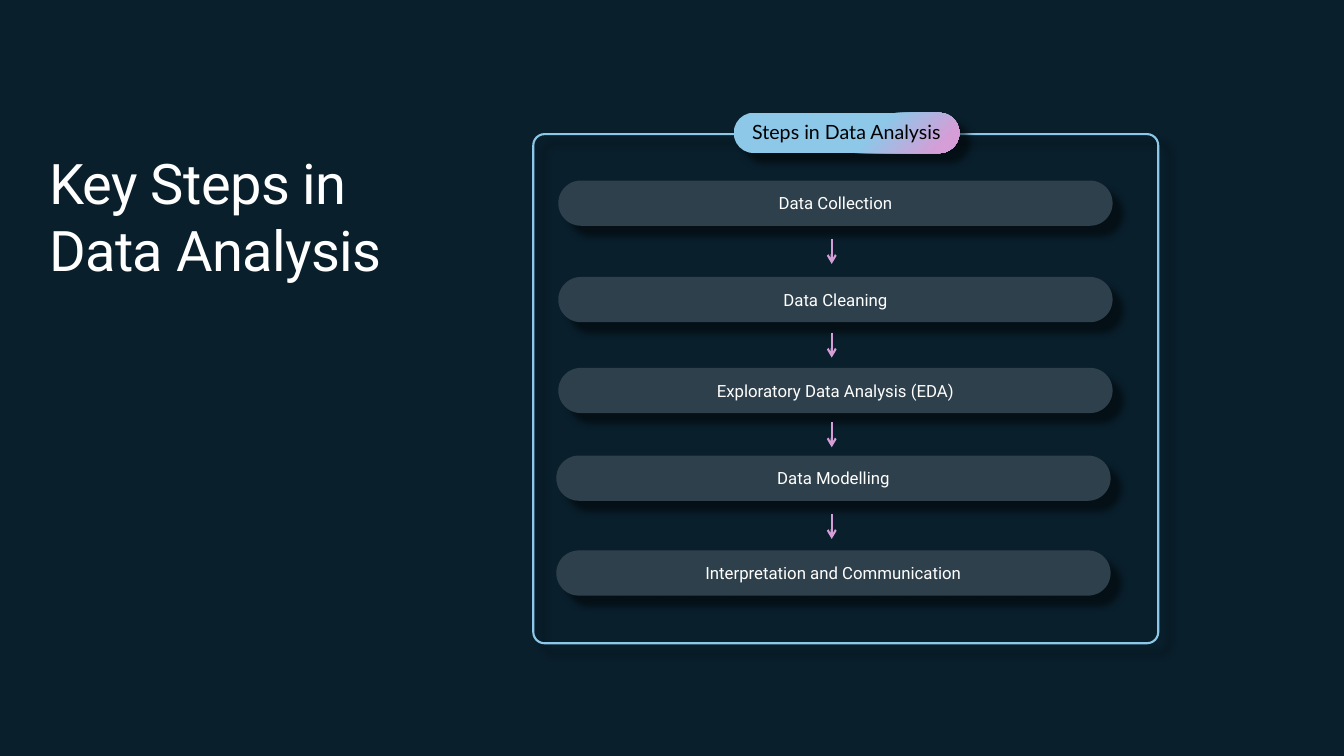
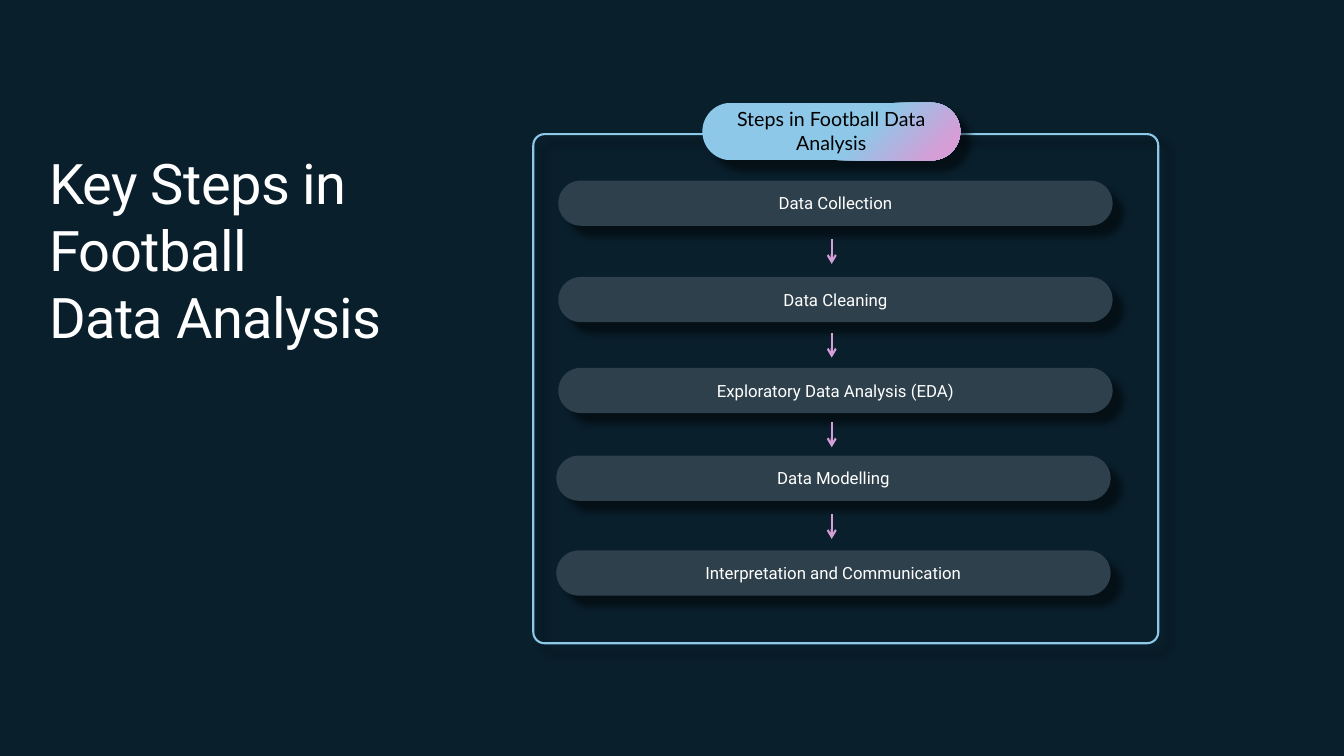
from dataclasses import dataclass

from lxml import etree
from pptx import Presentation
from pptx.dml.color import RGBColor
from pptx.enum.shapes import MSO_CONNECTOR, MSO_SHAPE
from pptx.enum.text import MSO_ANCHOR, PP_ALIGN
from pptx.oxml.ns import qn
from pptx.util import Cm, Pt

ROUNDED = MSO_SHAPE.ROUNDED_RECTANGLE
STRAIGHT = MSO_CONNECTOR.STRAIGHT
MIDDLE = MSO_ANCHOR.MIDDLE
CENTER = PP_ALIGN.CENTER


@dataclass(frozen=True)
class Theme:
    background: RGBColor = RGBColor(0x09, 0x1F, 0x2C)
    step: RGBColor = RGBColor(0x2E, 0x40, 0x4B)
    blue: RGBColor = RGBColor(0x8D, 0xC8, 0xE8)
    pink: RGBColor = RGBColor(0xD5, 0x9E, 0xD7)
    light: RGBColor = RGBColor(0xFF, 0xFF, 0xFF)
    dark: RGBColor = RGBColor(0x00, 0x00, 0x00)
    body_font: str = "Roboto"
    badge_font: str = "Lato"
    title_size: Pt = Pt(40)
    badge_size: Pt = Pt(14)
    step_size: Pt = Pt(12)
    line_width: Pt = Pt(1.5)


# label, left, top in cm
STEPS = [
    ("Data Collection", 14.07, 4.55),
    ("Data Cleaning", 14.07, 6.98),
    ("Exploratory Data Analysis (EDA)", 14.07, 9.27),
    ("Data Modelling", 14.02, 11.48),
    ("Interpretation and Communication", 14.02, 13.87),
]
STEP_WIDTH, STEP_HEIGHT = 13.97, 1.14
ARROW_X, ARROW_LENGTH = 20.96, 0.63
ARROW_TOPS = [6.02, 8.38, 10.64, 12.95]

# title, title height, badge text, badge box in cm
PAGES = [
    ("Key Steps in\nData Analysis", 4.06,
     "Steps in Data Analysis", (18.49, 2.84, 5.69, 1.02)),
    ("Key Steps in\nFootball\nData Analysis", 6.02,
     "Steps in Football Data Analysis", (17.7, 2.59, 6.5, 1.45)),
]


class Deck:
    def __init__(self, theme):
        self.theme = theme
        self.presentation = Presentation()
        self.presentation.slide_width = Cm(33.87)
        self.presentation.slide_height = Cm(19.05)
        backdrop = self.presentation.slide_master.background.fill
        backdrop.solid()
        backdrop.fore_color.rgb = theme.background
        self.slide = None

    def new_slide(self):
        blank = self.presentation.slide_layouts[6]
        self.slide = self.presentation.slides.add_slide(blank)

    def style_text(self, frame, font_name, size, color):
        for paragraph in frame.paragraphs:
            for run in paragraph.runs:
                run.font.name = font_name
                run.font.size = size
                run.font.color.rgb = color

    def title(self, text, height):
        box = self.slide.shapes.add_textbox(Cm(0.99), Cm(3.61), Cm(25.4), Cm(height))
        frame = box.text_frame
        frame.word_wrap = True
        frame.text = text
        self.style_text(frame, self.theme.body_font, self.theme.title_size,
                        self.theme.light)
        for paragraph in frame.paragraphs:
            for run in paragraph.runs:
                run.font._element.set("spc", "-40")

    def rounded(self, box, radius):
        """Add a rounded rectangle with the deck's soft shadow."""
        shape = self.slide.shapes.add_shape(ROUNDED, *map(Cm, box))
        shape.adjustments[0] = radius
        shape.shadow.inherit = False
        effects = shape._element.spPr.find(qn("a:effectLst"))
        shadow = etree.SubElement(
            effects, qn("a:outerShdw"), blurRad=str(Pt(5)), dist=str(Pt(10)),
            dir="2700000", algn="tl", rotWithShape="0")
        tint = etree.SubElement(shadow, qn("a:srgbClr"), val=str(self.theme.dark))
        etree.SubElement(tint, qn("a:alpha"), val="50000")
        return shape

    def frame(self):
        outline = self.rounded((13.44, 3.38, 15.75, 12.83), 0.022)
        outline.fill.background()
        outline.line.color.rgb = self.theme.blue
        outline.line.width = self.theme.line_width

    def pill(self, text, box, font_name, size, color, bottom_inset=0):
        pill = self.rounded(box, 0.5)
        pill.line.fill.background()
        frame = pill.text_frame
        frame.word_wrap = True
        frame.vertical_anchor = MIDDLE
        frame.margin_left = frame.margin_right = frame.margin_top = 0
        frame.margin_bottom = Cm(bottom_inset)
        frame.text = text
        frame.paragraphs[0].alignment = CENTER
        self.style_text(frame, font_name, size, color)
        return pill

    def badge(self, text, box):
        """Add the heading pill, pink in its lower right corner."""
        theme = self.theme
        badge = self.pill(text, box, theme.badge_font, theme.badge_size,
                          theme.dark, bottom_inset=0.05)
        badge.fill.gradient()
        shades = [(0.1, theme.pink), (0.4, theme.blue)]
        for stop, (position, color) in zip(badge.fill.gradient_stops, shades):
            stop.position = position
            stop.color.rgb = color
        gradient = badge._element.spPr.find(qn("a:gradFill"))
        gradient.remove(gradient.find(qn("a:lin")))
        radial = etree.SubElement(gradient, qn("a:path"))
        radial.set("path", "circle")
        etree.SubElement(radial, qn("a:fillToRect"), l="100000", t="100000")

    def step(self, label, left, top):
        theme = self.theme
        step = self.pill(label, (left, top, STEP_WIDTH, STEP_HEIGHT),
                         theme.body_font, theme.step_size, theme.light)
        step.fill.solid()
        step.fill.fore_color.rgb = theme.step

    def arrow(self, top):
        arrow = self.slide.shapes.add_connector(
            STRAIGHT, Cm(ARROW_X), Cm(top), Cm(ARROW_X), Cm(top + ARROW_LENGTH))
        arrow.line.color.rgb = self.theme.pink
        arrow.line.width = self.theme.line_width
        properties = arrow._element.spPr
        etree.SubElement(properties.find(qn("a:ln")), qn("a:tailEnd"), type="arrow")
        etree.SubElement(properties, qn("a:effectLst"))


def main():
    deck = Deck(Theme())
    for title, title_height, badge_text, badge_box in PAGES:
        deck.new_slide()
        deck.frame()
        deck.badge(badge_text, badge_box)
        deck.title(title, title_height)
        for label, left, top in STEPS:
            deck.step(label, left, top)
        for top in ARROW_TOPS:
            deck.arrow(top)
    deck.presentation.save("out.pptx")


if __name__ == "__main__":
    main()
